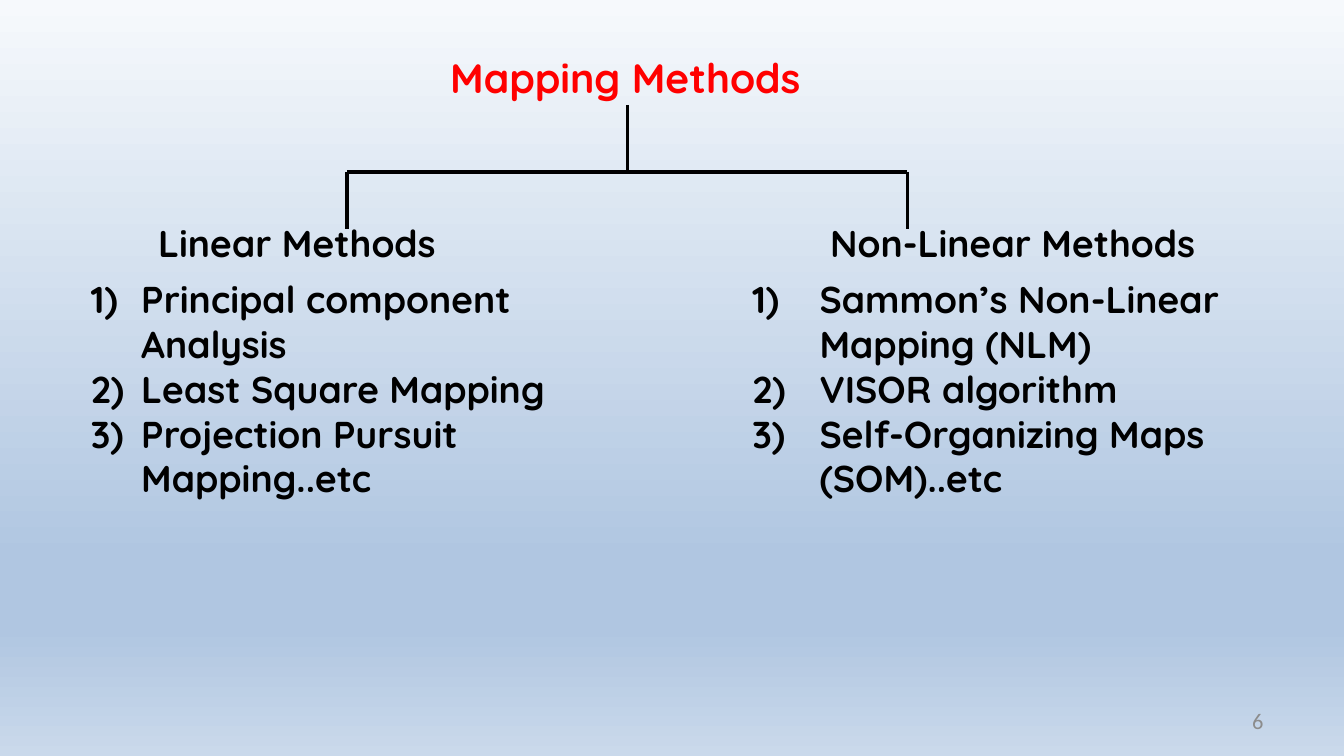
from lxml import etree
from pptx import Presentation
from pptx.dml.color import RGBColor
from pptx.enum.shapes import MSO_CONNECTOR
from pptx.enum.text import MSO_ANCHOR, MSO_AUTO_SIZE, PP_ALIGN
from pptx.oxml.ns import qn
from pptx.util import Cm, Pt

RED = RGBColor(0xFF, 0x00, 0x00)
BLACK = RGBColor(0x00, 0x00, 0x00)
GREY = RGBColor(0x8C, 0x8C, 0x8C)
SKY = [
    (0, RGBColor(0xF6, 0xF9, 0xFC)),
    (74, RGBColor(0xB0, 0xC6, 0xE1)),
    (83, RGBColor(0xB0, 0xC6, 0xE1)),
    (100, RGBColor(0xCA, 0xD9, 0xEB)),
]


class MethodSlide:
    """Holds the style and the current slide."""

    font = "Quicksand"
    size = 20

    def __init__(self, slide):
        """Keep the slide to draw on."""
        self.slide = slide

    def background(self, stops):
        """Fill the background with a gradient from top to bottom."""
        fill = self.slide.background.fill
        fill.gradient()
        fill.gradient_angle = 270
        stop_list = next(self.slide.element.iter(qn("a:gsLst")))
        for old in list(stop_list):
            stop_list.remove(old)
        for percent, color in stops:
            stop = etree.SubElement(stop_list, qn("a:gs"), pos=str(percent * 1000))
            etree.SubElement(stop, qn("a:srgbClr"), val=str(color))

    def text(self, box, lines, color=BLACK, size=None, font=None, bold=True,
             wrap=True, grow=True):
        """Add a text box with one paragraph per line and return its frame."""
        frame = self.slide.shapes.add_textbox(*map(Cm, box)).text_frame
        frame.word_wrap = wrap
        frame.auto_size = (MSO_AUTO_SIZE.SHAPE_TO_FIT_TEXT if grow
                           else MSO_AUTO_SIZE.NONE)
        frame.text = "\n".join(lines)
        for paragraph in frame.paragraphs:
            for run in paragraph.runs:
                run.font.name = font or self.font
                run.font.size = Pt(size or self.size)
                run.font.bold = bold
                run.font.color.rgb = color
        return frame

    def headings(self, box, labels, tab):
        """Put headings on one line, set apart by a tab stop."""
        frame = self.text(box, ["\t".join(labels)], wrap=False)
        props = frame.paragraphs[0]._p.get_or_add_pPr()
        tabs = etree.SubElement(props, qn("a:tabLst"))
        etree.SubElement(tabs, qn("a:tab"), pos=str(int(Cm(tab))), algn="l")

    def numbered(self, box, items, indent):
        """Add a numbered list with a hanging indent."""
        for paragraph in self.text(box, items).paragraphs:
            props = paragraph._p.get_or_add_pPr()
            props.set("marL", str(int(Cm(indent))))
            props.set("indent", str(-int(Cm(indent))))
            etree.SubElement(props, qn("a:buFont"), typeface=self.font)
            etree.SubElement(props, qn("a:buAutoNum"), type="arabicParenR")

    def line(self, x1, y1, x2, y2):
        """Draw a straight black line without a shadow."""
        line = self.slide.shapes.add_connector(
            MSO_CONNECTOR.STRAIGHT, Cm(x1), Cm(y1), Cm(x2), Cm(y2))
        line.line.color.rgb = BLACK
        line.line.width = Pt(2)
        etree.SubElement(line._element.spPr, qn("a:effectLst"))

    def tree(self, root, branches, top, bar, bottom):
        """Join a root to its branches by a horizontal bar."""
        self.line(root, top, root, bar)
        self.line(branches[0], bar, branches[-1], bar)
        for branch in branches:
            self.line(branch, bar, branch, bottom)

    def page_number(self, box, number):
        """Add the page number, right aligned and centred in height."""
        frame = self.text(box, [str(number)], GREY, 12, "Calibri", bold=False,
                          grow=False)
        frame.vertical_anchor = MSO_ANCHOR.MIDDLE
        frame.paragraphs[0].alignment = PP_ALIGN.RIGHT


def main():
    """Build the slide and save it."""
    deck = Presentation()
    deck.slide_width, deck.slide_height = Cm(25.4), Cm(14.29)
    page = MethodSlide(deck.slides.add_slide(deck.slide_layouts[6]))
    page.background(SKY)
    page.page_number((18.2, 13.24, 5.93, 0.76), 6)
    page.text((8.26, 0.86, 7.44, 1.19), ["Mapping Methods"], RED, 22, wrap=False)
    page.tree(11.86, (6.56, 17.15), top=1.98, bar=3.25, bottom=4.32)
    page.headings((2.74, 4.04, 20.27, 1.12),
                  ["Linear Methods", "Non-Linear Methods"], tab=12.7)
    page.numbered((1.47, 5.1, 9.96, 4.52), [
        "Principal component Analysis",
        "Least Square Mapping",
        "Projection Pursuit Mapping..etc",
    ], indent=0.95)
    page.numbered((13.97, 5.1, 10.36, 4.52), [
        "Sammon’s Non-Linear Mapping (NLM)",
        "VISOR algorithm",
        "Self-Organizing Maps (SOM)..etc",
    ], indent=1.27)
    deck.save("out.pptx")


main()
